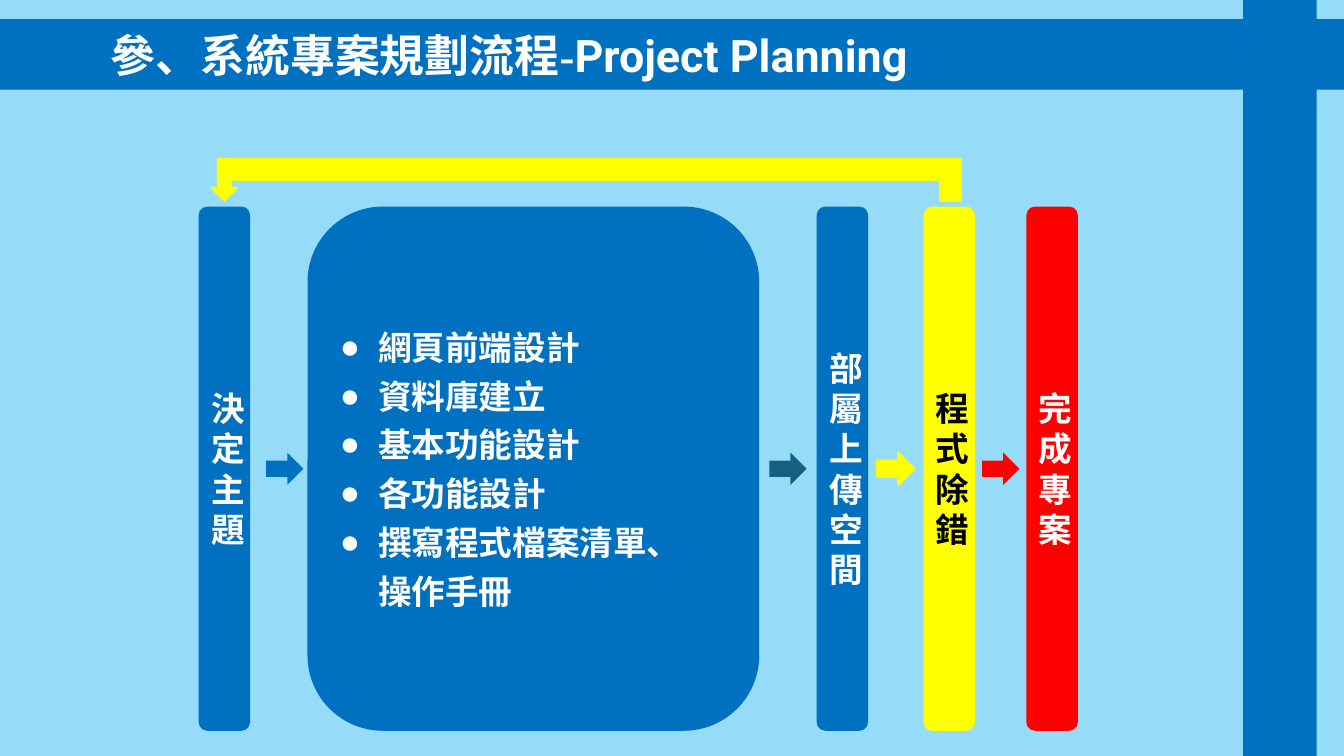
from lxml import etree
from pptx import Presentation
from pptx.dml.color import RGBColor
from pptx.enum.shapes import MSO_SHAPE
from pptx.enum.text import MSO_ANCHOR, MSO_AUTO_SIZE, PP_ALIGN
from pptx.oxml.ns import qn
from pptx.util import Inches, Pt

COLORS = {"sky": "96DCF8", "blue": "0070C0", "teal": "156082", "yellow": "FFFF00",
          "red": "FF0000", "white": "FFFFFF", "black": "000000"}
FONT = "Times New Roman"
TITLE = [("參、系統專案規劃流程-", FONT), ("Project Planning", "Roboto")]
# text, left, fill, text colour
STAGES = [("決定主題", 1.97, "blue", "white"),
          ("部屬上傳空間", 8.1, "blue", "white"),
          ("程式除錯", 9.16, "yellow", "black"),
          ("完成專案", 10.18, "red", "white")]
# text, bulleted
TASKS = [("網頁前端設計", True), ("資料庫建立", True), ("基本功能設計", True),
         ("各功能設計", True), ("撰寫程式檔案清單、", True), ("操作手冊", False)]
# left, fill, outlined
ARROWS = [(2.64, "blue", False), (7.63, "teal", False),
          (8.7, "yellow", True), (9.74, "red", False)]

STAGE_TOP, STAGE_W, STAGE_H = 2.05, 0.51, 5.2
TASK_LEFT, TASK_W, TASK_INSET = 3.05, 4.48, 0.22
ARROW_W, ARROW_H = 0.37, 0.32
LOOP_TOP, LOOP_H = 1.58, 0.41
INDENT = 0.38


def rgb(name):
    return RGBColor.from_string(COLORS[name])


def place(shape, left, top, width, height):
    shape.left, shape.top = Inches(left), Inches(top)
    shape.width, shape.height = Inches(width), Inches(height)


def add_block(kind, left, top, width, height, fill, outlined=False):
    sp = s.shapes.add_shape(kind, Inches(left), Inches(top), Inches(width), Inches(height))
    sp.shadow.inherit = False
    sp.fill.solid()
    sp.fill.fore_color.rgb = rgb(fill)
    if outlined:
        sp.line.color.rgb = rgb(fill)
        sp.line.width = Pt(1.5)
    else:
        sp.line.fill.background()
    return sp


def setup_frame(shape):
    tf = shape.text_frame
    tf.word_wrap = True
    tf.auto_size = MSO_AUTO_SIZE.NONE
    tf.vertical_anchor = MSO_ANCHOR.MIDDLE
    return tf


def add_run(p, text, size=24, color="white", font=FONT):
    r = p.add_run()
    r.text = text
    r.font.size, r.font.bold, r.font.name = Pt(size), True, font
    r.font.color.rgb = rgb(color)


def set_bullet(p, bulleted):
    pPr = p._p.get_or_add_pPr()
    pPr.set("marL", str(Inches(INDENT)))
    pPr.set("indent", str(-Inches(INDENT) if bulleted else 0))
    if bulleted:
        etree.SubElement(pPr, qn("a:buChar")).set("char", "●")
    else:
        etree.SubElement(pPr, qn("a:buNone"))


prs = Presentation()
prs.slide_width, prs.slide_height = Inches(13.33), Inches(7.5)
s = prs.slides.add_slide(prs.slide_layouts[1])
s.background.fill.solid()
s.background.fill.fore_color.rgb = rgb("sky")

title, body = s.shapes.title, s.placeholders[1]
place(title, 0, 0.19, 13.33, 0.7)
title.fill.solid()
title.fill.fore_color.rgb = rgb("blue")
tf = setup_frame(title)
tf.margin_left = Inches(1.1)
p = tf.paragraphs[0]
p.alignment = PP_ALIGN.LEFT
for text, font in TITLE:
    add_run(p, text, size=32, font=font)

add_block(MSO_SHAPE.RECTANGLE, 12.33, 0, 0.73, 7.5, "blue")

for text, left, fill, color in STAGES:
    stage = add_block(MSO_SHAPE.ROUNDED_RECTANGLE, left, STAGE_TOP, STAGE_W, STAGE_H, fill)
    p = setup_frame(stage).paragraphs[0]
    p.alignment = PP_ALIGN.CENTER
    add_run(p, text, color=color)

task_box = add_block(MSO_SHAPE.ROUNDED_RECTANGLE, TASK_LEFT, STAGE_TOP, TASK_W, STAGE_H, "blue")
task_box.element.addnext(body.element)
place(body, TASK_LEFT + TASK_INSET, STAGE_TOP + TASK_INSET,
      TASK_W - 2 * TASK_INSET, STAGE_H - 2 * TASK_INSET)
tf = setup_frame(body)
for i, (text, bulleted) in enumerate(TASKS):
    p = tf.add_paragraph() if i else tf.paragraphs[0]
    p.line_spacing, p.space_before, p.space_after = 1.0, Pt(0), Pt(6)
    set_bullet(p, bulleted)
    add_run(p, text)

arrow_top = STAGE_TOP + (STAGE_H - ARROW_H) / 2
for left, fill, outlined in ARROWS:
    add_block(MSO_SHAPE.RIGHT_ARROW, left, arrow_top, ARROW_W, ARROW_H, fill, outlined)

loop = add_block(MSO_SHAPE.CORNER, 2.23, LOOP_TOP, 7.3, LOOP_H, "yellow", True)
loop.rotation = 180
add_block(MSO_SHAPE.DOWN_ARROW, 2.1, LOOP_TOP, 0.25, LOOP_H, "yellow", True)

prs.save("out.pptx")
